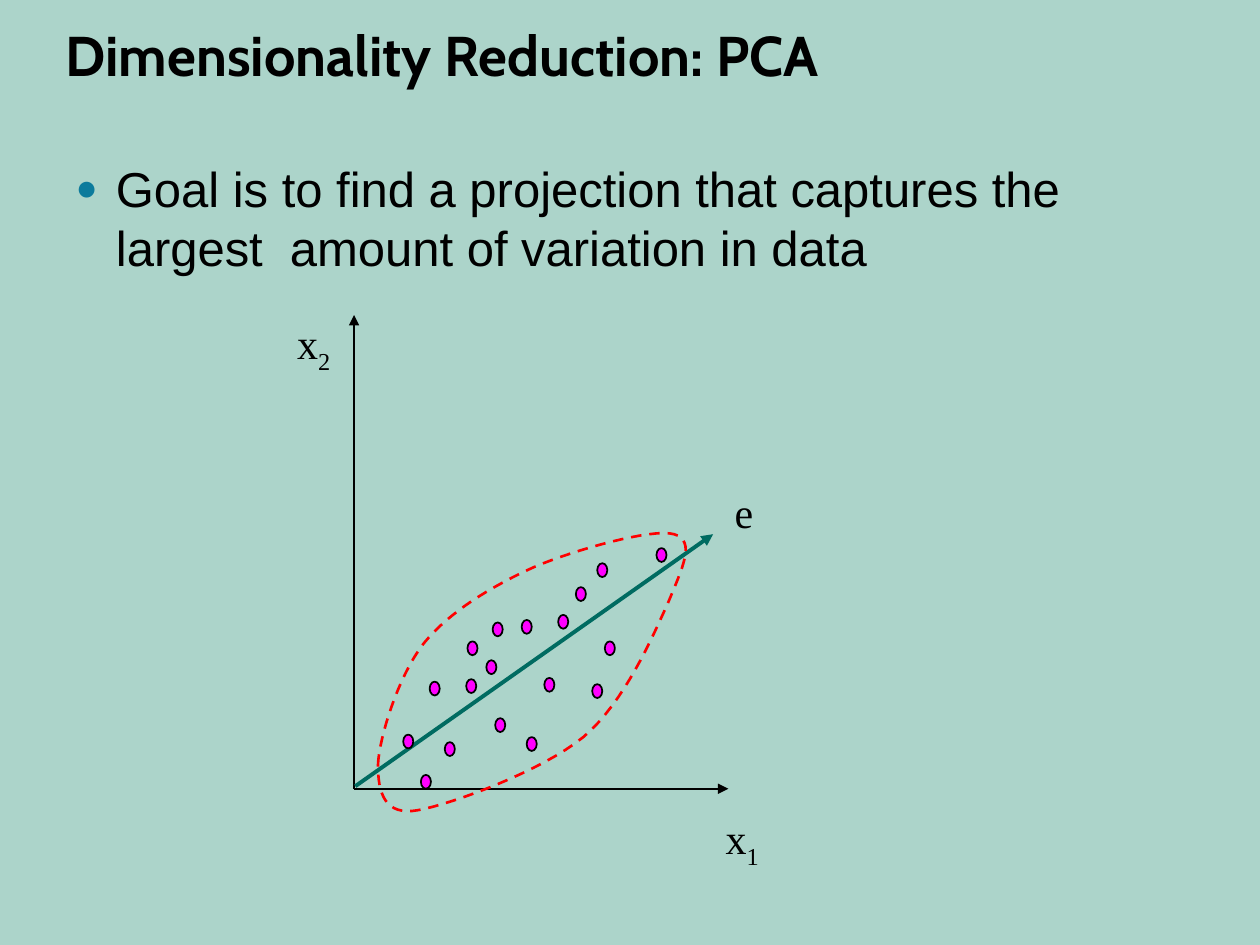
from lxml import etree
from pptx import Presentation
from pptx.dml.color import RGBColor
from pptx.enum.dml import MSO_LINE
from pptx.enum.shapes import MSO_CONNECTOR as LINK, MSO_SHAPE as SHAPE
from pptx.enum.text import MSO_ANCHOR as ANCHOR, MSO_AUTO_SIZE as FIT, PP_ALIGN as ALIGN
from pptx.oxml.ns import qn
from pptx.util import Inches, Pt

MINT = RGBColor(0xAC, 0xD4, 0xCA)
BLACK = RGBColor(0, 0, 0)
TEAL = RGBColor(0x00, 0x6B, 0x61)
PINK = RGBColor(0xFF, 0x00, 0xFF)
RED = RGBColor(0xFF, 0x00, 0x00)


def place(shape, left, top, width, height):
    shape.left, shape.top = Inches(left), Inches(top)
    shape.width, shape.height = Inches(width), Inches(height)


def style(font, name, size):
    font.name, font.size = name, Pt(size)
    font.color.rgb = BLACK


deck = Presentation()
deck.slide_width, deck.slide_height = Inches(10), Inches(7.5)
slide = deck.slides.add_slide(deck.slide_layouts[1])
slide.background.fill.solid()
slide.background.fill.fore_color.rgb = MINT

title = slide.shapes.title
place(title, 0.42, 0.17, 9.06, 0.58)
frame = title.text_frame
frame.text = "Dimensionality Reduction: PCA"
frame.auto_size = FIT.NONE
frame.vertical_anchor = ANCHOR.BOTTOM
para = frame.paragraphs[0]
para.alignment = ALIGN.LEFT
para.line_spacing = Pt(36)
style(para.font, "Cabin", 32)
para.font.bold = True

body = slide.placeholders[1]
place(body, 0.5, 1.17, 9.1, 5.67)
frame = body.text_frame
frame.text = "Goal is to find a projection that captures the largest  amount of variation in data"
frame.auto_size = FIT.NONE
frame.margin_top = Inches(0.09)
para = frame.paragraphs[0]
para.space_before, para.space_after = Pt(0), Pt(4)
props = para._p.get_or_add_pPr()
props.set("marL", str(Inches(0.32)))
props.set("indent", str(-Inches(0.32)))
color = etree.SubElement(props, qn("a:buClr"))
etree.SubElement(color, qn("a:srgbClr"), val="0C7B9C")
etree.SubElement(props, qn("a:buSzPct"), val="75000")
etree.SubElement(props, qn("a:buFont"), typeface="Arial")
etree.SubElement(props, qn("a:buChar"), char="●")
style(para.font, "Arial", 28)

plot = slide.shapes.add_group_shape().shapes

for x1, y1, x2, y2, tint, width in [
    (2.81, 6.26, 2.81, 2.5, BLACK, 1),
    (2.81, 6.26, 5.78, 6.26, BLACK, 1),
    (2.82, 6.24, 5.66, 4.24, TEAL, 2.25),
]:
    arrow = plot.add_connector(LINK.STRAIGHT, Inches(x1), Inches(y1), Inches(x2), Inches(y2))
    arrow.line.color.rgb = tint
    arrow.line.width = Pt(width)
    etree.SubElement(arrow.line._get_or_add_ln(), qn("a:tailEnd"), type="triangle")
    etree.SubElement(arrow._element.spPr, qn("a:effectLst"))

for x, y in [
    (3.41, 5.41), (3.71, 5.09), (3.2, 5.83), (3.86, 5.24), (3.7, 5.39), (4.32, 5.38),
    (4.18, 5.85), (3.93, 5.7), (4.14, 4.92), (4.8, 5.09), (5.21, 4.35), (3.53, 5.89),
    (4.43, 4.88), (4.74, 4.47), (3.91, 4.94), (4.57, 4.66), (4.7, 5.43), (3.34, 6.15),
]:
    dot = plot.add_shape(SHAPE.OVAL, Inches(x), Inches(y), Inches(0.08), Inches(0.11))
    dot.shadow.inherit = False
    dot.fill.solid()
    dot.fill.fore_color.rgb = PINK
    dot.line.color.rgb = BLACK
    dot.line.width = Pt(1)

start = (3, 6.07)
curves = [
    ((3.01, 5.85), (3.16, 5.37), (3.36, 5.11)),
    ((3.57, 4.85), (3.91, 4.65), (4.24, 4.5)),
    ((4.57, 4.36), (5.18, 4.19), (5.35, 4.24)),
    ((5.53, 4.29), (5.41, 4.52), (5.3, 4.79)),
    ((5.18, 5.05), (4.96, 5.57), (4.63, 5.85)),
    ((4.3, 6.12), (3.59, 6.38), (3.32, 6.43)),
    ((3.05, 6.48), (3, 6.29), (3, 6.07)),
]
steps = 16
points = []
last = start
for curve in curves:
    for step in range(1, steps + 1):
        t = step / steps
        parts = ((1 - t) ** 3, 3 * t * (1 - t) ** 2, 3 * t * t * (1 - t), t ** 3)
        points.append(tuple(
            Inches(sum(part * value for part, value in zip(parts, axis)))
            for axis in zip(last, *curve)
        ))
    last = curve[-1]
pen = plot.build_freeform(Inches(start[0]), Inches(start[1]))
pen.add_line_segments(points[:-1], close=True)
cloud = pen.convert_to_shape()
cloud.shadow.inherit = False
cloud.fill.background()
cloud.line.color.rgb = RED
cloud.line.width = Pt(1.5)
cloud.line.dash_style = MSO_LINE.DASH

for name, sub, x, y, width in [
    ("x", "2", 2.25, 2.5, 0.48),
    ("x", "1", 5.65, 6.43, 0.48),
    ("e", "", 5.73, 3.81, 0.35),
]:
    label = plot.add_textbox(Inches(x), Inches(y), Inches(width), Inches(0.5))
    frame = label.text_frame
    frame.word_wrap = False
    frame.auto_size = FIT.SHAPE_TO_FIT_TEXT
    frame.vertical_anchor = ANCHOR.MIDDLE
    para = frame.paragraphs[0]
    para.alignment = ALIGN.CENTER
    style(para.font, "Times New Roman", 24)
    para.add_run().text = name
    if sub:
        run = para.add_run()
        run.text = sub
        run.font._element.set("baseline", "-25000")

deck.save("out.pptx")
